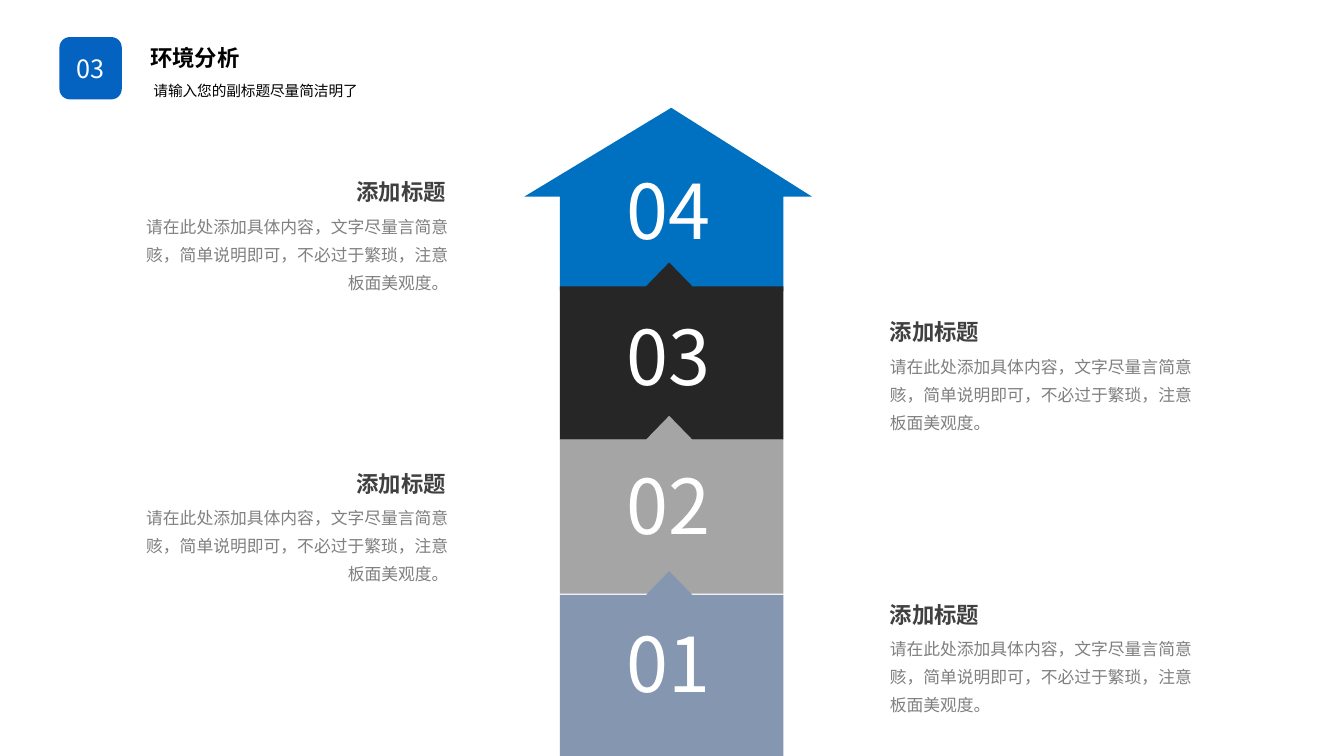
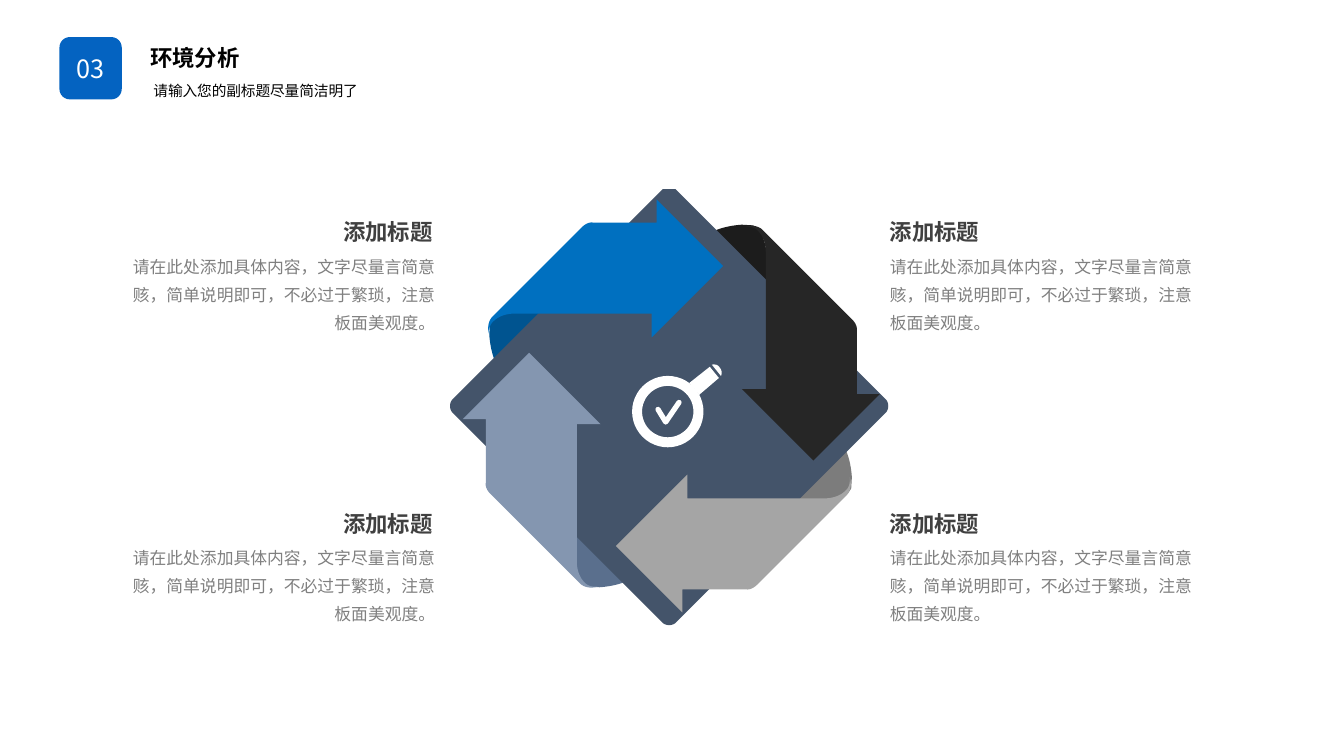
from dataclasses import dataclass

import pptx
import pptx.dml.color
import pptx.enum.shapes
import pptx.enum.text
import pptx.oxml.ns
import pptx.oxml.xmlchemy
import pptx.shapes.autoshape
import pptx.slide
import pptx.text.text
import pptx.util
from lxml import etree

Pt = pptx.util.Pt
RGBColor = pptx.dml.color.RGBColor
Align = pptx.enum.text.PP_ALIGN
Anchor = pptx.enum.text.MSO_ANCHOR
ShapeKind = pptx.enum.shapes.MSO_SHAPE
qn = pptx.oxml.ns.qn

Point = tuple[float, float]
Segment = tuple[Point, ...]  # one point: line; three points: cubic curve

FONT = "Noto Sans CJK SC"
WHITE = RGBColor(0xFF, 0xFF, 0xFF)
BLACK = RGBColor(0x00, 0x00, 0x00)
TILE_BLUE = RGBColor(0x04, 0x63, 0xC1)
BLUE = RGBColor(0x00, 0x70, 0xC0)
CHARCOAL = RGBColor(0x26, 0x26, 0x26)
GREY = RGBColor(0xA5, 0xA5, 0xA5)
STEEL = RGBColor(0x84, 0x96, 0xB0)
DARK_BLUE = RGBColor(0x00, 0x54, 0x90)
DARK_CHARCOAL = RGBColor(0x1C, 0x1C, 0x1C)
DARK_GREY = RGBColor(0x7C, 0x7C, 0x7C)
DARK_STEEL = RGBColor(0x5A, 0x6F, 0x8D)
SLATE = RGBColor(0x44, 0x54, 0x6A)
HEADING_GREY = RGBColor(0x40, 0x40, 0x40)
BODY_GREY = RGBColor(0x80, 0x80, 0x80)

SECTION = "03"
TITLE = "环境分析"
SUBTITLE = "请输入您的副标题尽量简洁明了"
HEADING = "添加标题"
BODY = "请在此处添加具体内容，文字尽量言简意赅，简单说明即可，不必过于繁琐，注意板面美观度。"


@dataclass(frozen=True)
class Style:
    size: float
    color: RGBColor
    bold: bool = False
    align: Align = Align.LEFT
    spacing: float | pptx.util.Length = 1.0


@dataclass(frozen=True)
class Box:
    left: float
    top: float
    width: float
    height: float

    def lengths(self) -> tuple[pptx.util.Length, ...]:
        return Pt(self.left), Pt(self.top), Pt(self.width), Pt(self.height)


@dataclass(frozen=True)
class Callout:
    left: float
    top: float
    align: Align


@dataclass(frozen=True)
class Block:
    number: str
    color: RGBColor
    top: float
    bottom: float
    number_top: float


@dataclass(frozen=True)
class Ribbon:
    color: RGBColor
    fold_color: RGBColor
    center: Point
    quarter_turns: int


LEFT, RIGHT, MIDDLE = 400, 559.5, 478
NOTCH_HALF_WIDTH, NOTCH_HEIGHT = 16.5, 17
TOP_BLOCK = Block("04", BLUE, 140.5, 208, 113.75)
BLOCKS = (
    Block("03", CHARCOAL, 204.5, 314, 218),
    Block("02", GREY, 314, 424, 324),
    Block("01", STEEL, 425, 540, 437),
)
COLUMN_CALLOUTS = (
    Callout(86.5, 124, Align.RIGHT),
    Callout(86.5, 332, Align.RIGHT),
    Callout(628.5, 224, Align.LEFT),
    Callout(628.5, 425.5, Align.LEFT),
)
CYCLE_CALLOUTS = tuple(
    Callout(left, top, align)
    for left, align in ((628.5, Align.LEFT), (77, Align.RIGHT))
    for top in (152.5, 360.5)
)

CYCLE_CENTER = (479, 290)
RIBBONS = (
    Ribbon(BLUE, DARK_BLUE, (479, 290), 0),
    Ribbon(CHARCOAL, DARK_CHARCOAL, (481, 291.5), 1),
    Ribbon(GREY, DARK_GREY, (477.5, 290), 2),
    Ribbon(STEEL, DARK_STEEL, (478, 289.5), 3),
)
# Ribbon and fold outlines are measured from the centre of the cycle.
RIBBON_OUTLINE: tuple[Segment, ...] = (
    ((-10, -147.5),),
    ((-10, -131),),
    ((-55.5, -131),),
    ((-55.5, -131), (-59, -132), (-63.5, -127.5)),
    ((-127.5, -63.5),),
    ((-127.5, -63.5), (-132, -59), (-129.5, -51)),
    ((-129.5, -51), (-130.5, -57), (-126.5, -60.5)),
    ((-123, -64), (-117.5, -66), (-111.5, -66)),
    ((-13.5, -66),),
    ((-13.5, -49),),
    ((37.5, -100),),
)
FOLD_OUTLINE: tuple[Segment, ...] = (
    ((-129.5, -51),),
    ((-129.5, -51), (-129, -39), (-124.5, -30)),
    ((-121, -22.5), (-86.5, -69), (-86.5, -69)),
    ((-86.5, -69), (-123, -72.5), (-129, -59)),
)
DIAMOND_CENTER = (478, 290)
DIAMOND_OUTLINE: tuple[Segment, ...] = (
    ((-4.5, -155),),
    ((4.5, -155),),
    ((155, -4.5),),
    ((157, -2), (157, 2), (155, 4.5)),
    ((4.5, 155),),
    ((2, 157), (-2, 157), (-4.5, 155)),
    ((-155, 4.5),),
    ((-157, 2), (-157, -2), (-155, -4.5)),
)
HANDLE = [(507, 262), (492.5, 273.5), (499.5, 282), (513.5, 270)]
HANDLE_CAP: tuple[Segment, ...] = (
    ((508.5, 260.5),),
    ((515, 268.5),),
    ((516, 266.5), (515.5, 264), (514, 262.5)),
    ((513, 260.5), (510.5, 260), (508.5, 260.5)),
)
CHECK_MARK = [(470, 292.5), (475.5, 301.5), (485, 287.5)]


def write(frame: pptx.text.text.TextFrame, text: str, style: Style) -> None:
    frame.word_wrap = True
    paragraph = frame.paragraphs[0]
    paragraph.alignment = style.align
    paragraph.line_spacing = style.spacing
    run = paragraph.add_run()
    run.text = text
    run.font.size = Pt(style.size)
    run.font.bold = style.bold
    run.font.color.rgb = style.color
    run.font.name = FONT
    properties = run.font._element
    etree.SubElement(properties, qn("a:ea")).set("typeface", FONT)


def add_text(slide: pptx.slide.Slide, box: Box, text: str, style: Style) -> None:
    write(slide.shapes.add_textbox(*box.lengths()).text_frame, text, style)


def paint(shape: pptx.shapes.autoshape.Shape, color: RGBColor) -> None:
    shape.shadow.inherit = False
    shape.fill.solid()
    shape.fill.fore_color.rgb = color
    shape.line.fill.background()


def trace(outline: tuple[Segment, ...], steps: int = 12) -> list[Point]:
    """Turn lines and cubic curves into the corner points of a polygon."""
    points: list[Point] = []
    for segment in outline:
        if len(segment) == 1:
            points.append(segment[0])
            continue
        corners = (points[-1], *segment)
        for step in range(1, steps + 1):
            t = step / steps
            weights = ((1 - t) ** 3, 3 * t * (1 - t) ** 2, 3 * t**2 * (1 - t), t**3)
            x, y = (sum(w * c[axis] for w, c in zip(weights, corners)) for axis in (0, 1))
            points.append((x, y))
    return points


def place(points: list[Point], center: Point, quarter_turns: int = 0) -> list[Point]:
    """Turn points clockwise about the origin, then move the origin to center."""
    for _ in range(quarter_turns):
        points = [(-y, x) for x, y in points]
    return [(center[0] + x, center[1] + y) for x, y in points]


def add_outline(
    slide: pptx.slide.Slide, points: list[Point], color: RGBColor, close: bool = True
) -> pptx.shapes.autoshape.Shape:
    start, *others = [(Pt(x), Pt(y)) for x, y in points]
    builder = slide.shapes.build_freeform(*start, scale=1.0)
    builder.add_line_segments(others, close=close)
    shape = builder.convert_to_shape()
    paint(shape, color)
    return shape


def add_header(slide: pptx.slide.Slide) -> None:
    tile = slide.shapes.add_shape(ShapeKind.ROUNDED_RECTANGLE, *Box(42.5, 26.5, 44.5, 44.5).lengths())
    paint(tile, TILE_BLUE)
    tile.text_frame.vertical_anchor = Anchor.MIDDLE
    write(tile.text_frame, SECTION, Style(18, WHITE, align=Align.CENTER))

    title = slide.shapes.title
    title.left, title.top, title.width, title.height = Box(100, 24, 105, 27.5).lengths()
    title.text_frame.auto_size = pptx.enum.text.MSO_AUTO_SIZE.NONE
    title.text_frame.vertical_anchor = Anchor.TOP
    write(title.text_frame, TITLE, Style(16, BLACK, bold=True, spacing=1.2))
    add_text(slide, Box(102.5, 52.5, 209.5, 20), SUBTITLE, Style(10.5, BLACK, spacing=1.2))


def add_callout(slide: pptx.slide.Slide, callout: Callout) -> None:
    body = Box(callout.left, callout.top + 21.5, 241, 65)
    heading_width = 108
    heading_left = body.left
    if callout.align == Align.RIGHT:
        heading_left += body.width - heading_width - 2
    heading = Box(heading_left, callout.top, heading_width, 26.5)
    add_text(slide, body, BODY, Style(12, BODY_GREY, align=callout.align, spacing=Pt(20)))
    add_text(slide, heading, HEADING, Style(16, HEADING_GREY, bold=True, align=callout.align))


def add_column(slide: pptx.slide.Slide) -> None:
    shoulder, bottom = TOP_BLOCK.top, TOP_BLOCK.bottom
    arrow = [
        (580, shoulder), (479.5, 77), (374.5, shoulder), (LEFT, shoulder),
        (LEFT, bottom), (RIGHT, bottom), (RIGHT, shoulder),
    ]
    add_outline(slide, arrow, TOP_BLOCK.color)
    for block in BLOCKS:
        notched = [
            (MIDDLE + NOTCH_HALF_WIDTH, block.top), (MIDDLE, block.top - NOTCH_HEIGHT),
            (MIDDLE - NOTCH_HALF_WIDTH, block.top), (LEFT, block.top),
            (LEFT, block.bottom), (RIGHT, block.bottom), (RIGHT, block.top),
        ]
        add_outline(slide, notched, block.color)
    for block in (TOP_BLOCK, *BLOCKS):
        number_box = Box(395.5, block.number_top, 163.5, 72.5)
        add_text(slide, number_box, block.number, Style(54, WHITE, align=Align.CENTER))


def add_magnifier(slide: pptx.slide.Slide) -> None:
    ring = slide.shapes.add_shape(ShapeKind.DONUT, *Box(451.5, 268.5, 51, 51).lengths())
    ring.adjustments[0] = 0.14
    paint(ring, WHITE)
    add_outline(slide, HANDLE, WHITE)
    add_outline(slide, trace(HANDLE_CAP), WHITE)
    check = add_outline(slide, CHECK_MARK, WHITE, close=False)
    check.fill.background()
    check.line.color.rgb = WHITE
    check.line.width = Pt(3.75)
    line = check.element.spPr.find(qn("a:ln"))
    line.set("cap", "rnd")
    etree.SubElement(line, qn("a:round"))


def add_cycle(slide: pptx.slide.Slide) -> None:
    for ribbon in RIBBONS:
        fold = place(trace(FOLD_OUTLINE), CYCLE_CENTER, ribbon.quarter_turns)
        add_outline(slide, fold, ribbon.fold_color)
    add_outline(slide, place(trace(DIAMOND_OUTLINE), DIAMOND_CENTER), SLATE)
    for ribbon in RIBBONS:
        arrow = place(trace(RIBBON_OUTLINE), ribbon.center, ribbon.quarter_turns)
        add_outline(slide, arrow, ribbon.color)
    add_magnifier(slide)


def main() -> None:
    presentation = pptx.Presentation()
    presentation.slide_width, presentation.slide_height = Pt(960), Pt(540)
    title_only = presentation.slide_layouts[5]
    for add_diagram, callouts in ((add_column, COLUMN_CALLOUTS), (add_cycle, CYCLE_CALLOUTS)):
        slide = presentation.slides.add_slide(title_only)
        add_header(slide)
        add_diagram(slide)
        for callout in callouts:
            add_callout(slide, callout)
    presentation.save("out.pptx")


if __name__ == "__main__":
    main()
